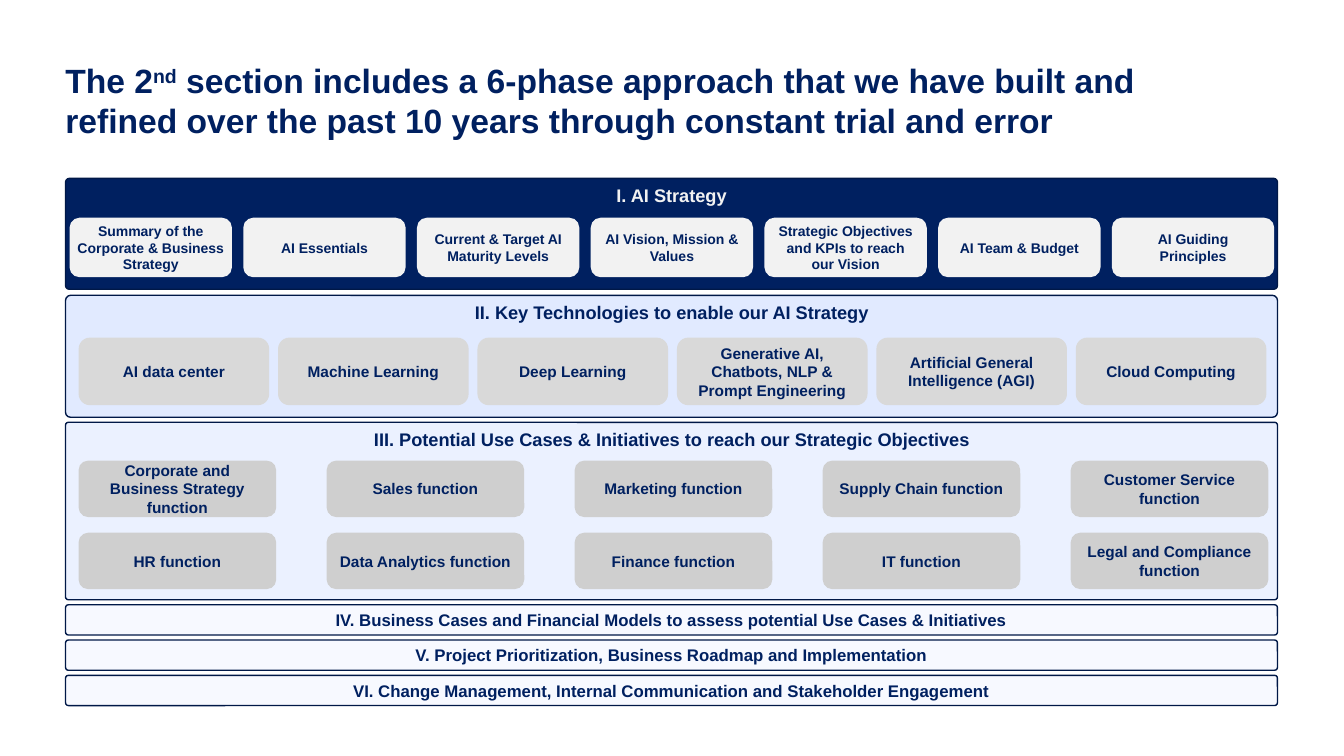
from dataclasses import dataclass

from pptx import Presentation
from pptx import util as u
from pptx.dml.color import RGBColor
from pptx.enum import shapes, text


@dataclass(frozen=True)
class Theme:
    font: str = "Arial"
    navy: str = "002060"
    outline: str = "001847"
    light: str = "F2F2F2"
    technology_panel: str = "E1EAFF"
    use_case_panel: str = "EBF1FF"
    phase_bar: str = "F7F9FF"
    technology_card: str = "D9D9D9"
    use_case_card: str = "CFCFCF"
    title_size: int = 24
    heading_size: int = 13
    bar_size: int = 12
    card_size: int = 11
    small_card_size: int = 10


THEME = Theme()
PANEL_LEFT, PANEL_WIDTH = 6.5, 120.2
NARROW, NORMAL = 0.4, 1

STRATEGY = [
    ("Summary of the Corporate & Business Strategy", NARROW),
    ("AI Essentials", NARROW),
    ("Current & Target AI Maturity Levels", NARROW),
    ("AI Vision, Mission & Values", NORMAL),
    ("Strategic Objectives and KPIs to reach our Vision", NORMAL),
    ("AI Team & Budget", NORMAL),
    ("AI Guiding Principles", NORMAL),
]
TECHNOLOGIES = [
    "AI data center",
    "Machine Learning",
    "Deep Learning",
    "Generative AI, Chatbots, NLP & Prompt Engineering",
    "Artificial General Intelligence (AGI)",
    "Cloud Computing",
]
USE_CASES = [
    ["Corporate and Business Strategy function", "Sales function",
     "Marketing function", "Supply Chain function", "Customer Service function"],
    ["HR function", "Data Analytics function", "Finance function",
     "IT function", "Legal and Compliance function"],
]
LAST_PHASES = [
    "IV. Business Cases and Financial Models to assess potential Use Cases & Initiatives",
    "V. Project Prioritization, Business Roadmap and Implementation",
    "VI. Change Management, Internal Communication and Stakeholder Engagement",
]


def grid(n):
    """Convert grid modules, ten to the inch, to a length."""
    return u.Inches(n / 10)


def add_run(p, words, size, color, baseline=0):
    """Add one bold run; baseline is its rise in percent of the type size."""
    r = p.add_run()
    r.text = words
    r.font.name = THEME.font
    r.font.size = u.Pt(size)
    r.font.bold = True
    r.font.color.rgb = RGBColor.from_string(color)
    if baseline:
        r._r.get_or_add_rPr().set("baseline", str(baseline * 1000))


def add_title(s):
    tf = s.shapes.add_textbox(*map(grid, (5.5, 4, 115.6, 11.9))).text_frame
    tf.word_wrap = True
    tf.vertical_anchor = text.MSO_ANCHOR.MIDDLE
    p = tf.paragraphs[0]
    for words, baseline in [
        ("The 2", 0),
        ("nd", 30),
        (" section includes a 6-phase approach that we have built and refined "
         "over the past 10 years through constant trial and error", 0),
    ]:
        add_run(p, words, THEME.title_size, THEME.navy, baseline)


def add_rounded(s, box, fill, words, size, color=THEME.navy, inset=NORMAL):
    sp = s.shapes.add_shape(shapes.MSO_SHAPE.ROUNDED_RECTANGLE, *map(grid, box))
    sp.shadow.inherit = False
    sp.fill.solid()
    sp.fill.fore_color.rgb = RGBColor.from_string(fill)
    sp.line.fill.background()
    tf = sp.text_frame
    tf.word_wrap = True
    tf.vertical_anchor = text.MSO_ANCHOR.MIDDLE
    tf.margin_left = tf.margin_right = grid(inset)
    p = tf.paragraphs[0]
    p.alignment = text.PP_ALIGN.CENTER
    add_run(p, words, size, color)
    return sp


def add_panel(s, top, height, fill, heading, radius, size=THEME.heading_size,
              color=THEME.navy, anchor=text.MSO_ANCHOR.TOP):
    """Add a full-width outlined panel; radius is in grid modules."""
    sp = add_rounded(s, (PANEL_LEFT, top, PANEL_WIDTH, height), fill, heading, size, color)
    sp.adjustments[0] = radius / height
    sp.line.color.rgb = RGBColor.from_string(THEME.outline)
    sp.line.width = u.Pt(1)
    sp.text_frame.vertical_anchor = anchor


def add_card_row(s, cards, left, top, width, height, pitch, fill, size):
    """Add evenly pitched cards from (label, side inset) pairs."""
    for i, (label, inset) in enumerate(cards):
        add_rounded(s, (left + i * pitch, top, width, height), fill, label, size, inset=inset)


def main():
    prs = Presentation()
    prs.slide_width, prs.slide_height = u.Inches(13.33), u.Inches(7.5)
    s = prs.slides.add_slide(prs.slide_layouts[6])
    add_title(s)

    add_panel(s, 17.7, 11, THEME.navy, "I. AI Strategy", 0.37, color=THEME.light)
    add_card_row(s, STRATEGY, 6.9, 21.6, 16.1, 5.9, 17.23,
                 THEME.light, THEME.small_card_size)

    add_panel(s, 29.3, 12.1, THEME.technology_panel,
              "II. Key Technologies to enable our AI Strategy", 0.5)
    add_card_row(s, [(label, NORMAL) for label in TECHNOLOGIES], 7.8, 33.5, 18.9, 6.7,
                 19.78, THEME.technology_card, THEME.card_size)

    add_panel(s, 41.9, 17.6, THEME.use_case_panel,
              "III. Potential Use Cases & Initiatives to reach our Strategic Objectives", 0.27)
    for row, labels in enumerate(USE_CASES):
        add_card_row(s, [(label, NORMAL) for label in labels], 7.8, 45.7 + row * 7.15,
                     19.6, 5.6, 24.6, THEME.use_case_card, THEME.card_size)

    for i, phase in enumerate(LAST_PHASES):
        add_panel(s, 60 + i * 3.5, 3, THEME.phase_bar, phase, 0.28,
                  THEME.bar_size, anchor=text.MSO_ANCHOR.MIDDLE)

    prs.save("out.pptx")


if __name__ == "__main__":
    main()
